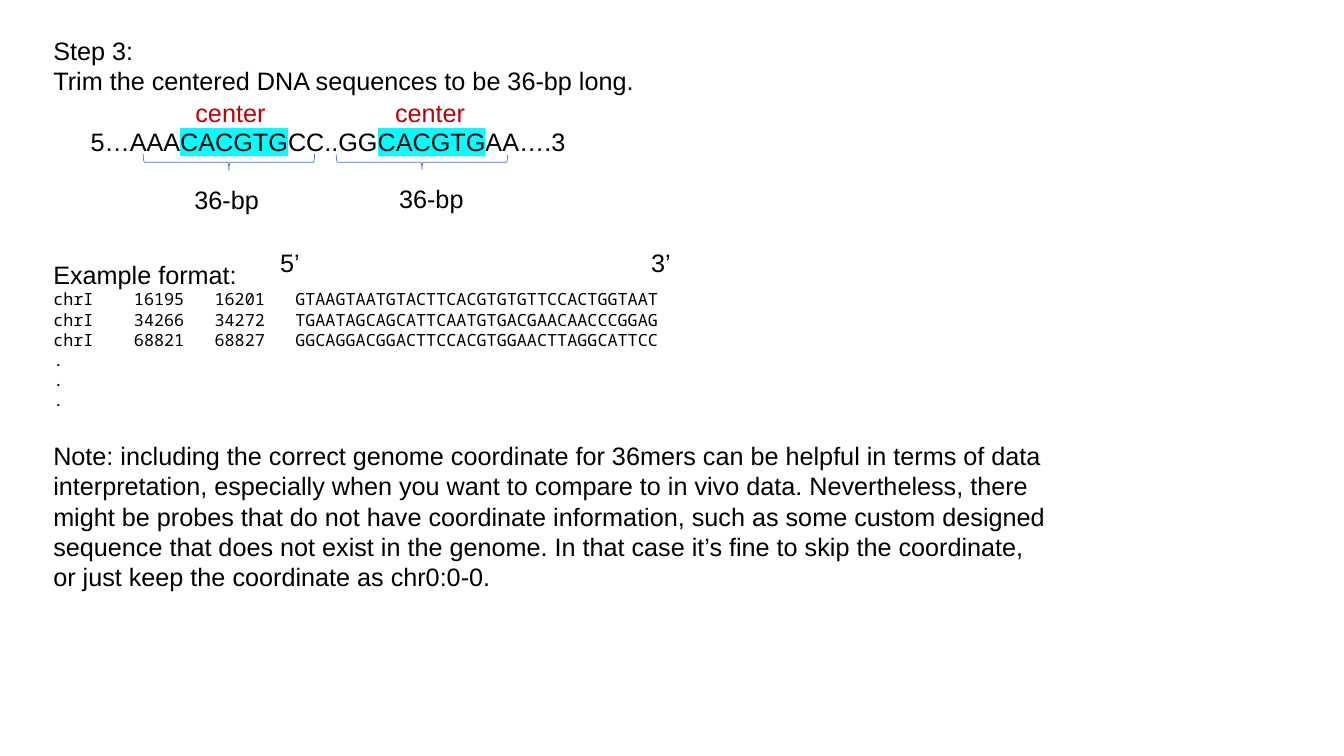
import pptx
import pptx.util
import pptx.dml.color
import pptx.enum.shapes
import pptx.enum.text
import pptx.oxml
import pptx.oxml.ns
import lxml.etree

COLORS = {"text": "000000", "center": "C00000", "brace": "4472C4", "motif": "00FFFF"}
BODY = {"name": "Arial", "size": pptx.util.Pt(18)}
MONO = {"name": "Noto Sans Mono", "size": pptx.util.Pt(12)}

HEADING = ["Step 3:", "Trim the centered DNA sequences to be 36-bp long."]
SEQUENCE = ["5…AAA", "CACGTG", "CC..GG", "CACGTG", "AA….3"]
MOTIF = "CACGTG"
EXAMPLE_ROWS = [
    ("chrI", "16195", "16201", "GTAAGTAATGTACTTCACGTGTGTTCCACTGGTAAT"),
    ("chrI", "34266", "34272", "TGAATAGCAGCATTCAATGTGACGAACAACCCGGAG"),
    ("chrI", "68821", "68827", "GGCAGGACGGACTTCCACGTGGAACTTAGGCATTCC"),
    (".",), (".",), (".",),
]
COLUMN_STEP = 0.8
NOTE = (
    "Note: including the correct genome coordinate for 36mers can be helpful in terms of data "
    "interpretation, especially when you want to compare to in vivo data. Nevertheless, there "
    "might be probes that do not have coordinate information, such as some custom designed "
    "sequence that does not exist in the genome. In that case it’s fine to skip the coordinate, "
    "or just keep the coordinate as chr0:0-0."
)
LABELS = [
    ("36-bp", 1.83, 1.78, 0.85, "text"),
    ("36-bp", 3.86, 1.77, 0.85, "text"),
    ("center", 1.84, 0.92, 0.9, "center"),
    ("center", 3.82, 0.92, 0.9, "center"),
    ("5’", 2.68, 2.4, 0.4, "text"),
    ("3’", 6.36, 2.4, 0.4, "text"),
]
BRACES = [(2.19, 0.76, 0.16, 1.7), (4.11, 0.76, 0.15, 1.7)]

deck = pptx.Presentation()
deck.slide_width = pptx.util.Inches(13.33)
deck.slide_height = pptx.util.Inches(7.5)
slide = deck.slides.add_slide(deck.slide_layouts[5])


def rgb(color):
    return pptx.dml.color.RGBColor.from_string(COLORS[color])


def inches(*lengths):
    return [pptx.util.Inches(length) for length in lengths]


def add_run(paragraph, text, style=BODY, color="text"):
    run = paragraph.add_run()
    run.text = text
    for attribute, setting in style.items():
        setattr(run.font, attribute, setting)
    run.font.color.rgb = rgb(color)
    return run


def highlight(run, color):
    mark = pptx.oxml.parse_xml(
        f'<a:highlight {pptx.oxml.ns.nsdecls("a")}><a:srgbClr val="{COLORS[color]}"/></a:highlight>')
    run.font.fill
    run._r.rPr.find(pptx.oxml.ns.qn("a:latin")).addprevious(mark)


def add_tabs(paragraph, count):
    stops = lxml.etree.SubElement(paragraph._p.get_or_add_pPr(), pptx.oxml.ns.qn("a:tabLst"))
    for index in range(1, count + 1):
        position = pptx.util.Inches(COLUMN_STEP * index)
        lxml.etree.SubElement(stops, pptx.oxml.ns.qn("a:tab"), pos=str(position), algn="l")


def add_text(left, top, width, height, wrap=False):
    frame = slide.shapes.add_textbox(*inches(left, top, width, height)).text_frame
    frame.word_wrap = wrap
    frame.auto_size = pptx.enum.text.MSO_AUTO_SIZE.SHAPE_TO_FIT_TEXT
    return frame


heading = slide.shapes.title
heading.left, heading.top, heading.width, heading.height = inches(0.43, 0.3, 5.99, 0.71)
heading_format = {
    "word_wrap": True,
    "auto_size": pptx.enum.text.MSO_AUTO_SIZE.NONE,
    "vertical_anchor": pptx.enum.text.MSO_ANCHOR.TOP,
}
for attribute, setting in heading_format.items():
    setattr(heading.text_frame, attribute, setting)
for index, line in enumerate(HEADING):
    paragraph = heading.text_frame.add_paragraph() if index else heading.text_frame.paragraphs[0]
    paragraph.alignment = pptx.enum.text.PP_ALIGN.LEFT
    add_run(paragraph, line)

for left, top, width, height in BRACES:
    brace = slide.shapes.add_shape(
        pptx.enum.shapes.MSO_SHAPE.RIGHT_BRACE, *inches(left, top, width, height))
    brace.rotation = 90
    brace.shadow.inherit = False
    brace.fill.background()
    brace.line.color.rgb = rgb("brace")
    brace.line.width = pptx.util.Pt(0.5)

example = add_text(0.43, 2.52, 10.11, 3.43, wrap=True)
add_run(example.paragraphs[0], "Example format:")
for row in EXAMPLE_ROWS:
    paragraph = example.add_paragraph()
    add_tabs(paragraph, len(row) - 1)
    add_run(paragraph, "\t".join(row), MONO)
note = example.add_paragraph()
note.space_before = pptx.util.Pt(21.6)
add_run(note, NOTE)

sequence = add_text(0.8, 1.2, 4.96, 0.4).paragraphs[0]
for part in SEQUENCE:
    run = add_run(sequence, part)
    if part == MOTIF:
        highlight(run, "motif")

for text, left, top, width, color in LABELS:
    add_run(add_text(left, top, width, 0.4).paragraphs[0], text, color=color)

deck.save("out.pptx")
